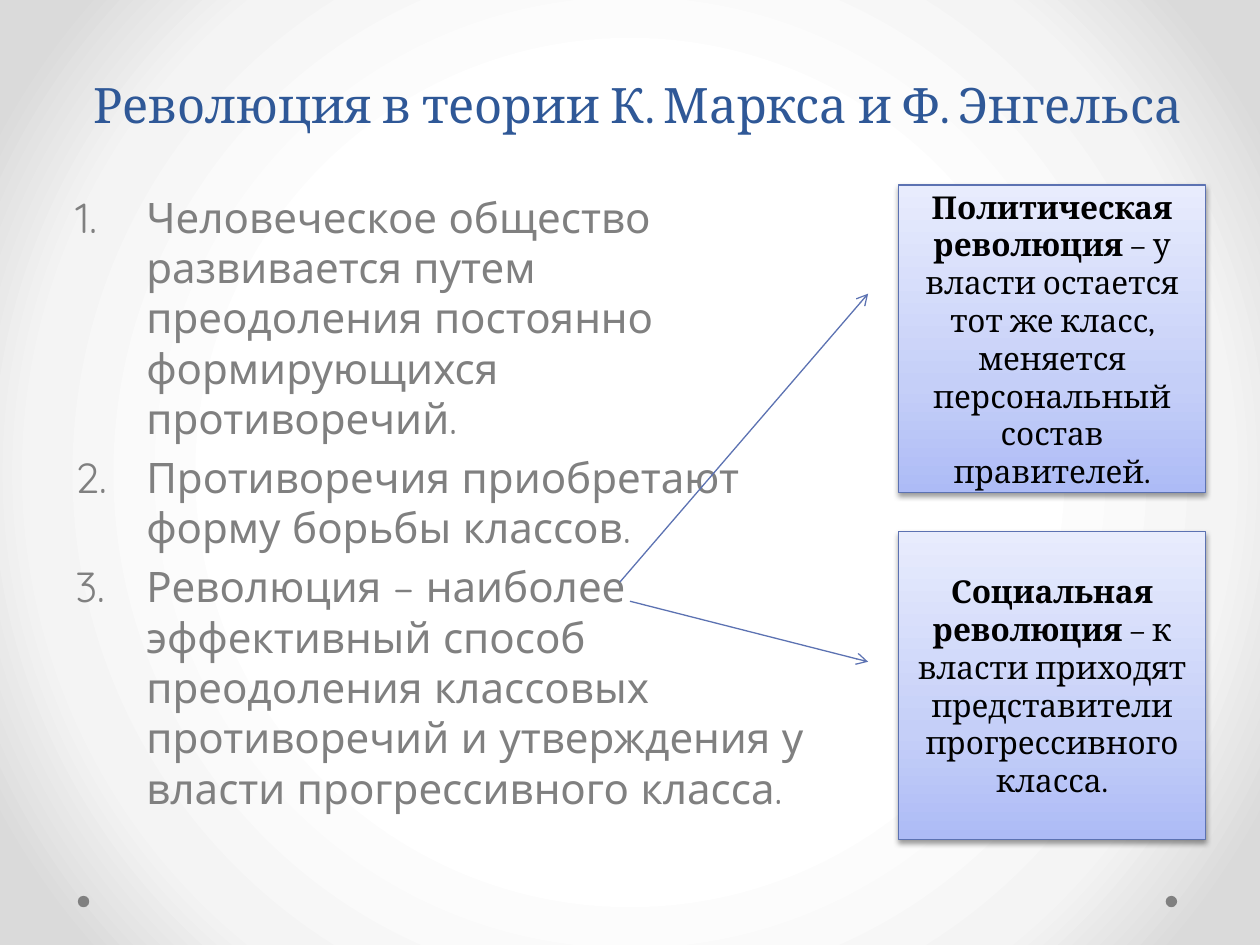
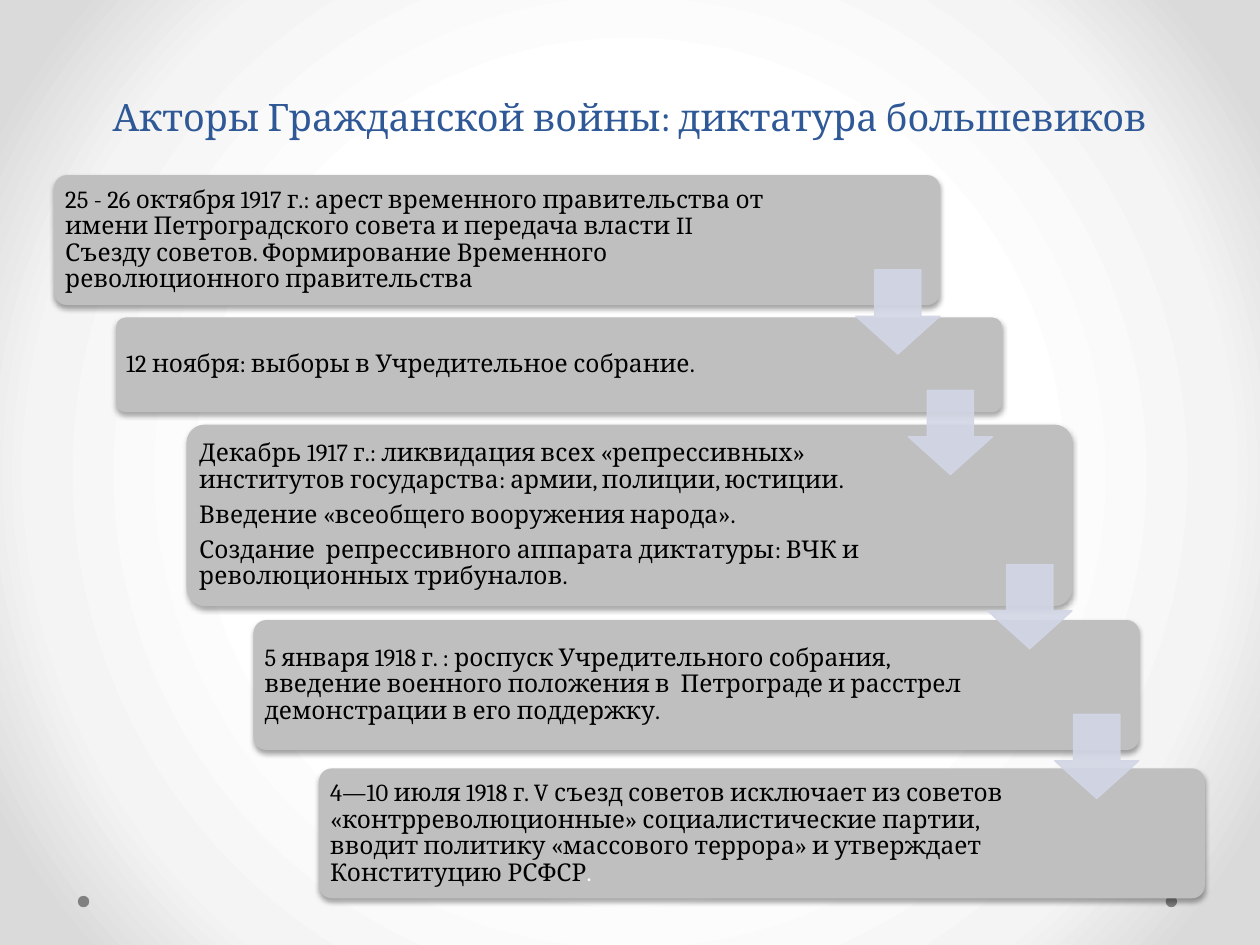
from typing import NamedTuple

from lxml.etree import SubElement
from pptx import Presentation
from pptx.dml.color import RGBColor
from pptx.enum.shapes import MSO_CONNECTOR, MSO_SHAPE
from pptx.enum.text import MSO_ANCHOR, PP_ALIGN
from pptx.oxml.ns import qn
from pptx.util import Cm, Pt

BLACK = RGBColor(0x00, 0x00, 0x00)
WHITE = RGBColor(0xFF, 0xFF, 0xFF)
TITLE_BLUE = RGBColor(0x2F, 0x58, 0x97)
LINE_BLUE = RGBColor(0x5C, 0x72, 0xB2)
ARROW_BLUE = RGBColor(0xD2, 0xD6, 0xE5)
BODY_GRAY = RGBColor(0x80, 0x80, 0x80)
CARD_GRAY = RGBColor(0xBF, 0xBF, 0xBF)
PAGE_STOPS = [(50, WHITE), (76, RGBColor(0xF4, 0xF4, 0xF4)), (92, RGBColor(0xDA, 0xDA, 0xDA))]
PANEL_STOPS = [
    (0, RGBColor(0xAD, 0xBB, 0xF6)),
    (35, RGBColor(0xC5, 0xCF, 0xF8)),
    (100, RGBColor(0xE8, 0xEC, 0xFD)),
]
SERIF = "Cambria"
SANS = "Quicksand"


class Panel(NamedTuple):
    top: float
    term: str
    meaning: str


class Card(NamedTuple):
    left: float
    top: float
    height: float
    texts: list[str]
    ending: str = ""


class Arrow(NamedTuple):
    start: tuple[float, float]
    end: tuple[float, float]


THESES = [
    "Человеческое общество развивается путем преодоления постоянно формирующихся противоречий.",
    "Противоречия приобретают форму борьбы классов.",
    "Революция – наиболее эффективный способ преодоления классовых противоречий "
    "и утверждения у власти прогрессивного класса.",
]
PANELS = [
    Panel(3.73, "Политическая революция ",
          "– у власти остается тот же класс, меняется персональный состав правителей."),
    Panel(10.72, "Социальная революция ",
          "– к власти приходят представители прогрессивного класса."),
]
PANEL_ARROWS = [Arrow((12.5, 11.73), (17.5, 5.92)), Arrow((12.7, 12.12), (17.5, 13.34))]
CARDS = [
    Card(1.09, 3.53, 2.62, [
        "25 - 26 октября 1917 г.: арест временного правительства от имени Петроградского совета "
        "и передача власти II Съезду советов. Формирование Временного революционного правительства",
    ]),
    Card(2.34, 6.4, 1.91, ["12 ноября: выборы в Учредительное собрание."]),
    Card(3.76, 8.56, 3.66, [
        "Декабрь 1917 г.: ликвидация всех «репрессивных» институтов государства: "
        "армии, полиции, юстиции.",
        "Введение «всеобщего вооружения народа».",
        "Создание  репрессивного аппарата диктатуры: ВЧК и революционных трибуналов.",
    ]),
    Card(5.11, 12.5, 2.62, [
        "5 января 1918 г. : роспуск Учредительного собрания, введение военного положения "
        "в  Петрограде и расстрел демонстрации в его поддержку.",
    ]),
    Card(6.43, 15.49, 2.62, [
        "4—10 июля 1918 г. V съезд советов исключает из советов «контрреволюционные» "
        "социалистические партии, вводит политику «массового террора» и утверждает "
        "Конституцию РСФСР",
    ], "."),
]
STEP_ARROWS = [(17.25, 5.44), (18.31, 7.87), (19.91, 11.38), (21.26, 14.4)]


def paint_gradient(holder, stops: list, angle: int | None = None) -> None:
    solid = holder.find(qn("a:solidFill"))
    gradient = holder.makeelement(qn("a:gradFill"), {"rotWithShape": "1"})
    holder.replace(solid, gradient)
    stop_list = SubElement(gradient, qn("a:gsLst"))
    for position, color in stops:
        stop = SubElement(stop_list, qn("a:gs"), pos=str(position * 1000))
        SubElement(stop, qn("a:srgbClr"), val=str(color))
    if angle is None:
        circle = SubElement(gradient, qn("a:path"), path="circle")
        SubElement(circle, qn("a:fillToRect"), l="50000", t="50000", r="50000", b="50000")
    else:
        SubElement(gradient, qn("a:lin"), ang=str(angle * 60000), scaled="0")


def add_shadow(shape, distance: float, opacity: int) -> None:
    effects = shape.element.spPr.find(qn("a:effectLst"))
    shadow = SubElement(effects, qn("a:outerShdw"), blurRad=str(Pt(3.1)), dist=str(Pt(distance)),
                        dir="5400000", rotWithShape="0")
    color = SubElement(shadow, qn("a:srgbClr"), val=str(BLACK))
    SubElement(color, qn("a:alpha"), val=str(opacity * 1000))


def add_figure(page, kind, left: float, top: float, width: float, height: float,
               fill: RGBColor, line: RGBColor | None = None):
    shape = page.shapes.add_shape(kind, Cm(left), Cm(top), Cm(width), Cm(height))
    shape.shadow.inherit = False
    shape.fill.solid()
    shape.fill.fore_color.rgb = fill
    if line is None:
        shape.line.fill.background()
    else:
        shape.line.color.rgb = line
        shape.line.width = Pt(0.75)
    return shape


def set_font(paragraph, name: str, size: float, color: RGBColor) -> None:
    paragraph.font.name = name
    paragraph.font.size = Pt(size)
    paragraph.font.color.rgb = color


def add_page(deck, title: str, size: float, left: float, top: float):
    page = deck.slides.add_slide(deck.slide_layouts[6])
    fill = page.background.fill
    fill.solid()
    fill.fore_color.rgb = WHITE
    paint_gradient(page.element.find(".//" + qn("p:bgPr")), PAGE_STOPS)
    for dot_left in (23.5, 1.57):
        add_figure(page, MSO_SHAPE.OVAL, dot_left, 18.06, 0.23, 0.23, BODY_GRAY)
    box = page.shapes.add_textbox(Cm(left), Cm(top), Cm(22.86), Cm(2.16))
    box.text_frame.word_wrap = True
    box.text_frame.vertical_anchor = MSO_ANCHOR.BOTTOM
    para = box.text_frame.paragraphs[0]
    para.text = title
    para.alignment = PP_ALIGN.CENTER
    para.line_spacing = Pt(58)
    set_font(para, SERIF, size, TITLE_BLUE)
    return page


def add_theses(page) -> None:
    box = page.shapes.add_textbox(Cm(1.27), Cm(3.73), Cm(15.42), Cm(13.28))
    frame = box.text_frame
    frame.word_wrap = True
    for index, thesis in enumerate(THESES):
        para = frame.add_paragraph() if index else frame.paragraphs[0]
        para.text = thesis
        if index:
            para.space_before = Pt(4.8)
        properties = para._p.get_or_add_pPr()
        properties.set("marL", str(Cm(1.43)))
        properties.set("indent", str(-Cm(1.43)))
        SubElement(properties, qn("a:buFont"), typeface="+mj-lt")
        SubElement(properties, qn("a:buAutoNum"), type="arabicPeriod")
        set_font(para, SANS, 24, BODY_GRAY)


def add_panel(page, panel: Panel) -> None:
    shape = add_figure(page, MSO_SHAPE.RECTANGLE, 18.11, panel.top, 6.2, 6.2, WHITE, LINE_BLUE)
    paint_gradient(shape.element.spPr, PANEL_STOPS, 270)
    add_shadow(shape, 1.6, 38)
    shape.text_frame.word_wrap = True
    shape.text_frame.vertical_anchor = MSO_ANCHOR.MIDDLE
    para = shape.text_frame.paragraphs[0]
    para.alignment = PP_ALIGN.CENTER
    set_font(para, SERIF, 18, BLACK)
    term = para.add_run()
    term.text = panel.term
    term.font.bold = True
    para.add_run().text = panel.meaning


def add_arrow(page, arrow: Arrow) -> None:
    ends = [Cm(length) for length in arrow.start + arrow.end]
    connector = page.shapes.add_connector(MSO_CONNECTOR.STRAIGHT, *ends)
    connector.line.color.rgb = LINE_BLUE
    connector.line.width = Pt(0.75)
    properties = connector.element.spPr
    SubElement(properties.find(qn("a:ln")), qn("a:tailEnd"), type="arrow")
    SubElement(properties, qn("a:effectLst"))


def add_card(page, card: Card) -> None:
    shape = add_figure(page, MSO_SHAPE.ROUNDED_RECTANGLE, card.left, card.top, 17.86, card.height,
                       CARD_GRAY)
    shape.adjustments[0] = 0.1
    add_shadow(shape, 1.8, 35)
    frame = shape.text_frame
    frame.word_wrap = True
    frame.vertical_anchor = MSO_ANCHOR.MIDDLE
    frame.margin_left = frame.margin_top = frame.margin_bottom = Cm(0.15)
    frame.margin_right = Cm(3.12)
    for index, text in enumerate(card.texts):
        para = frame.add_paragraph() if index else frame.paragraphs[0]
        para.text = text
        para.alignment = PP_ALIGN.LEFT
        para.line_spacing = 0.9
        para.space_after = Pt(4.9)
        set_font(para, SERIF, 14, BLACK)
    if card.ending:
        span = para.add_run()
        span.text = card.ending
        span.font.color.rgb = WHITE


def add_step_arrow(page, left: float, top: float) -> None:
    shape = add_figure(page, MSO_SHAPE.DOWN_ARROW, left, top, 1.7, 1.7, ARROW_BLUE, ARROW_BLUE)
    shape.adjustments[0] = 0.55
    shape.adjustments[1] = 0.45
    for color in shape.element.spPr.iter(qn("a:srgbClr")):
        SubElement(color, qn("a:alpha"), val="90000")


def main() -> None:
    deck = Presentation()
    deck.slide_width = Cm(25.4)
    deck.slide_height = Cm(19.05)

    theory = add_page(deck, "Революция в теории К. Маркса и Ф. Энгельса", 27.9, 1.43, 0.66)
    add_theses(theory)
    for panel in PANELS:
        add_panel(theory, panel)
    for arrow in PANEL_ARROWS:
        add_arrow(theory, arrow)

    actors = add_page(deck, "Акторы Гражданской войны: диктатура большевиков", 21.6, 1.27, 0.76)
    for card in CARDS:
        add_card(actors, card)
    for left, top in STEP_ARROWS:
        add_step_arrow(actors, left, top)

    deck.save("out.pptx")


if __name__ == "__main__":
    main()
